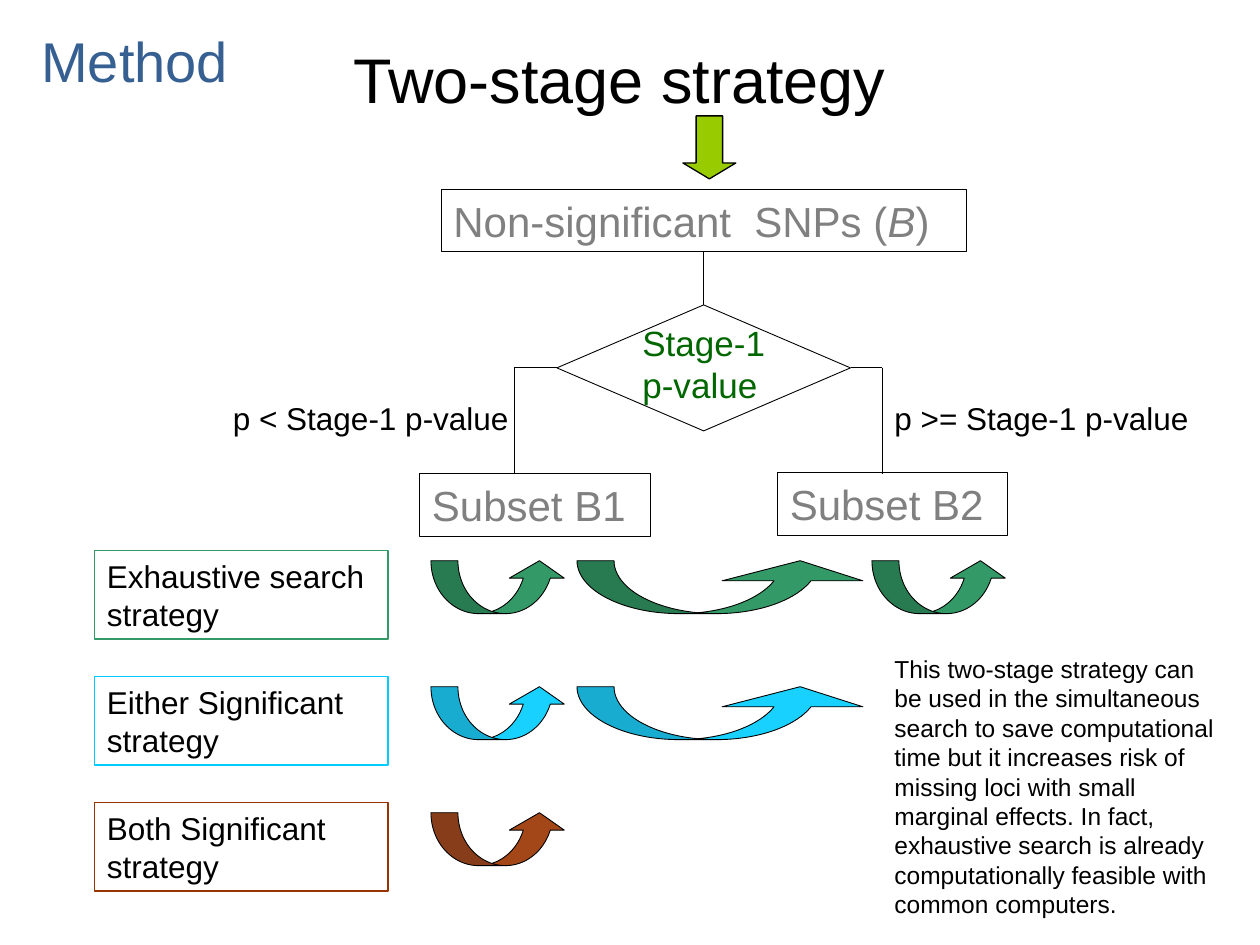
from lxml import etree
from pptx import Presentation
from pptx import util as u
from pptx.dml import color
from pptx.enum import shapes, text
from pptx.oxml import ns

COLORS = {
    "ink": "000000",
    "heading": "376092",
    "node": "808080",
    "test": "006600",
    "entry": "99CC00",
    "exhaustive": "339966",
    "either": "00CCFF",
    "both": "993300",
}
TOP, LEFT, RIGHT = 0, 1, 3


def rgb(name):
    return color.RGBColor.from_string(COLORS[name])


def inches(*lengths):
    return [u.Inches(length) for length in lengths]


def write(shape, *parts, size, ink="ink", before=None, align=text.PP_ALIGN.LEFT,
          anchor=text.MSO_ANCHOR.TOP, italic=()):
    frame = shape.text_frame
    frame.word_wrap = True
    frame.vertical_anchor = anchor
    paragraph = frame.paragraphs[0]
    paragraph.alignment = align
    if before is not None:
        paragraph.space_before = u.Pt(before)
    for part in parts:
        run = paragraph.add_run()
        run.text = part
        run.font.name = "Arial"
        run.font.size = u.Pt(size)
        run.font.color.rgb = rgb(ink)
        if part in italic:
            run.font.italic = True


def add_label(slide, box, words, **style):
    write(slide.shapes.add_textbox(*inches(*box)), words, **style)


def add_outline(slide, kind, box, line="ink", weight=0.5, fill=None, opacity=100):
    shape = slide.shapes.add_shape(kind, *inches(*box))
    shape.shadow.inherit = False
    shape.line.color.rgb = rgb(line)
    shape.line.width = u.Pt(weight)
    if fill is None:
        shape.fill.background()
    else:
        shape.fill.solid()
        shape.fill.fore_color.rgb = rgb(fill)
        if opacity < 100:
            tint = shape.fill._xPr.find(".//" + ns.qn("a:srgbClr"))
            etree.SubElement(tint, ns.qn("a:alpha")).set("val", str(opacity * 1000))
    return shape


def add_line(slide, start, end):
    line = slide.shapes.add_connector(shapes.MSO_CONNECTOR.STRAIGHT,
                                      *inches(*start, *end))
    line.line.color.rgb = rgb("ink")
    line.line.width = u.Pt(0.5)
    etree.SubElement(line._element.spPr, ns.qn("a:effectLst"))
    return line


def add_heading(slide, box):
    title = slide.shapes.title
    title.left, title.top, title.width, title.height = inches(*box)
    write(title, "Two-stage strategy", size=36, align=text.PP_ALIGN.CENTER,
          anchor=text.MSO_ANCHOR.MIDDLE)
    add_label(slide, (0.23, 0.16, 2.66, 0.64), "Method", size=32, ink="heading")


def add_node(slide, box, *parts, **style):
    node = add_outline(slide, shapes.MSO_SHAPE.RECTANGLE, box)
    write(node, *parts, size=24, ink="node", before=15, **style)
    return node


def add_decision_tree(slide, box):
    left, top, width, height = box
    middle = top + 2
    left_drop, right_drop = left + 0.75, left + width - 1

    entry = add_outline(slide, shapes.MSO_SHAPE.DOWN_ARROW,
                        (left + 2.09, top - 0.58, 0.42, 0.5), weight=0.75, fill="entry")
    entry.adjustments[0], entry.adjustments[1] = 0.5, 0.3

    snps = add_node(slide, (left + 0.17, top, 4.17, 0.5),
                    "Non-significant  SNPs (", "B", ")", italic=("B",))
    test = add_outline(slide, shapes.MSO_SHAPE.FLOWCHART_DECISION,
                       (left + 1.09, top + 0.92, 2.33, 1))
    middle = top + 0.92 + 0.5
    add_label(slide, (left + 1.67, top + 1, 1.33, 0.77), "Stage-1 p-value",
              size=20, ink="test", before=12.5)
    add_node(slide, (left, top + 2.26, 1.83, 0.5), "Subset B1")
    add_node(slide, (left + 2.84, top + 2.25, 1.83, 0.5), "Subset B2")

    stem = add_line(slide, (left + 2.25, top + 0.5), (left + 2.25, top + 0.92))
    stem.begin_connect(snps, 2)
    stem.end_connect(test, TOP)
    for drop, side in ((left_drop, LEFT), (right_drop, RIGHT)):
        branch = add_line(slide, (drop, middle), (drop, middle))
        branch.end_connect(test, side)
        add_line(slide, (drop, middle), (drop, top + height - 0.5))

    add_label(slide, (left - 1.58, top + 1.62, 2.42, 0.4), "p < Stage-1 p-value",
              size=18, before=11.2)
    add_label(slide, (right_drop, top + 1.62, 2.58, 0.4), "p >= Stage-1 p-value",
              size=18, before=11.2)


def add_strategy(slide, box, words, hue, arrows, opacity):
    left, top, width, height = box
    card = add_outline(slide, shapes.MSO_SHAPE.RECTANGLE, box, line=hue, weight=1)
    write(card, words, size=18, before=11.2)
    within, across = (1.08, (0.51, 1.04, 0.33)), (2.33, (0.7, 2.66, 0.38))
    searches = ((3.42, within), (4.58, across), (6.92, within))
    for start, (span, bends) in searches[:arrows]:
        arrow = add_outline(slide, shapes.MSO_SHAPE.CURVED_UP_ARROW,
                            (start, top + 0.08, span, 0.42), fill=hue, opacity=opacity)
        for index, bend in enumerate(bends):
            arrow.adjustments[index] = bend


def add_strategies(slide, box):
    left, top, width, height = box
    strategies = (
        ("Exhaustive search strategy", "exhaustive", 3, 100),
        ("Either Significant strategy", "either", 2, 90),
        ("Both Significant strategy", "both", 1, 90),
    )
    for row, strategy in enumerate(strategies):
        add_strategy(slide, (left, top + row, width, height), *strategy)


def add_remark(slide, box):
    add_label(
        slide, box,
        "This two-stage strategy can be used in the simultaneous search to save "
        "computational time but it increases risk of missing loci with small "
        "marginal effects. In fact, exhaustive search is already computationally "
        "feasible with common computers.",
        size=14, before=8.8)


def main():
    deck = Presentation()
    deck.slide_width, deck.slide_height = inches(10, 7.5)
    slide = deck.slides.add_slide(deck.slide_layouts[5])
    add_heading(slide, (0.25, 0.25, 9.33, 0.75))
    add_decision_tree(slide, (3.33, 1.5, 4.67, 2.76))
    add_strategies(slide, (0.75, 4.37, 2.33, 0.7))
    add_remark(slide, (7, 5.14, 2.75, 2.2))
    deck.save("out.pptx")


if __name__ == "__main__":
    main()
